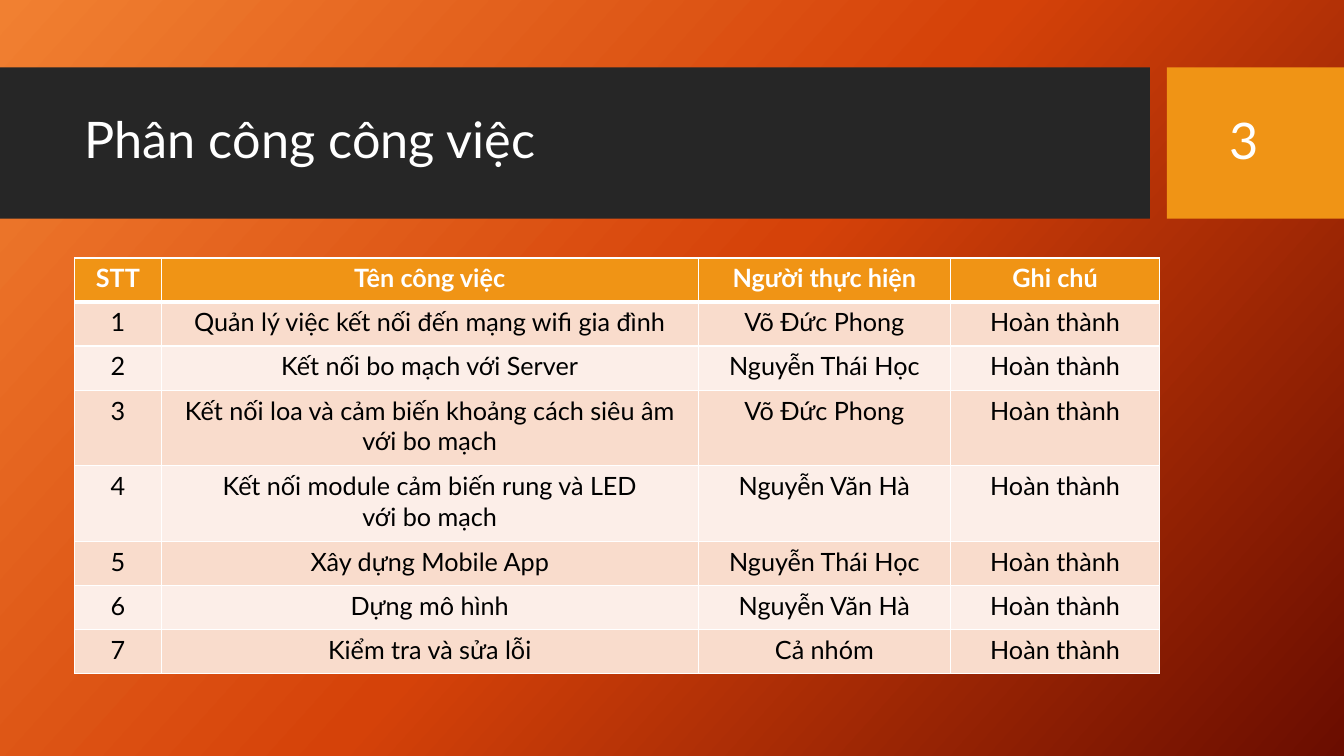
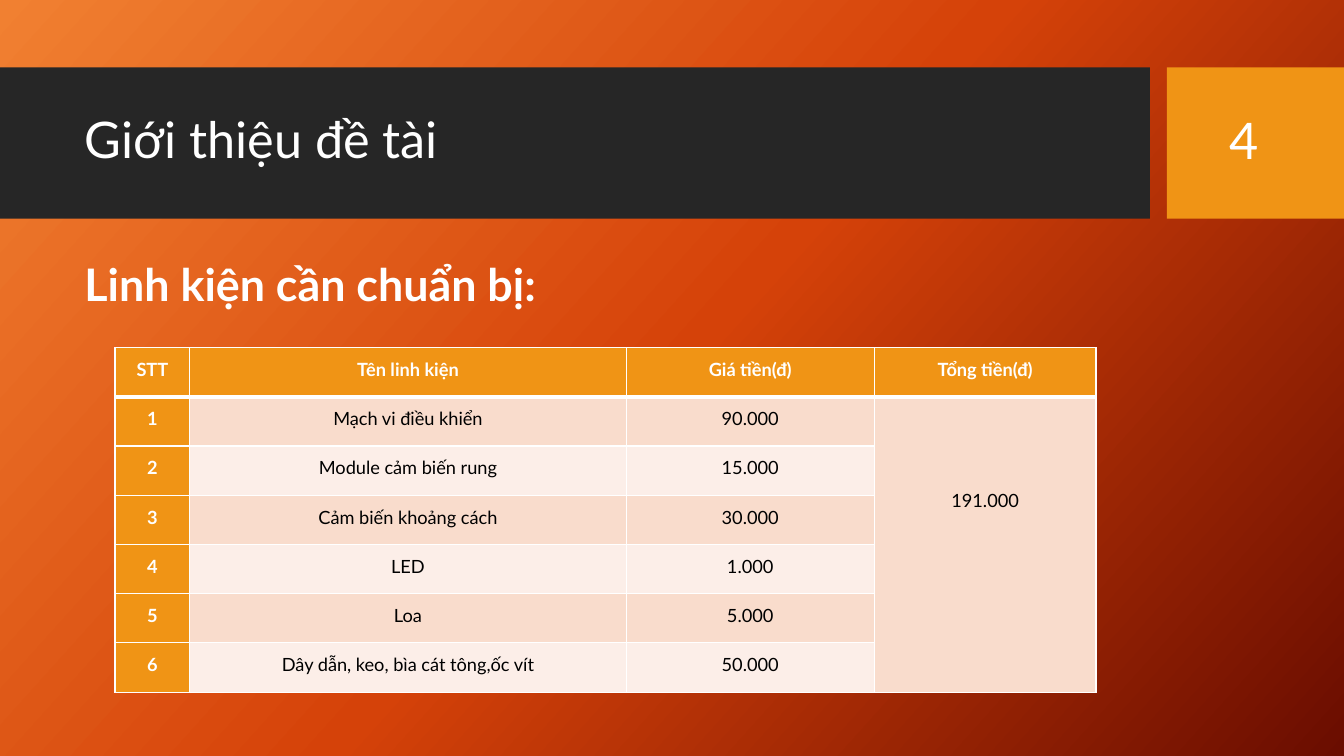
import lxml.etree
import pptx
import pptx.dml.color
import pptx.enum.shapes
import pptx.enum.text
import pptx.oxml
import pptx.oxml.ns
import pptx.util

Cm = pptx.util.Cm
Pt = pptx.util.Pt
qn = pptx.oxml.ns.qn
PP_ALIGN = pptx.enum.text.PP_ALIGN
MSO_ANCHOR = pptx.enum.text.MSO_ANCHOR

COLORS = {
    "white": "FFFFFF", "black": "000000", "band": "262626", "accent": "F09415",
    "row_odd": "F9DCCC", "row_even": "FCEEE8",
}
BACKGROUND_STOPS = [(0, "F18031"), (50, "D54209"), (100, "6A0D00")]
BACKGROUND_ANGLE = 42
FONT = "Lato"

# Boxes are left, top, width, height in centimetres.
BAND_BOX = (0, 1.7, 28.98, 3.81)
NUMBER_BOX = (29.41, 1.7, 4.46, 3.81)
TITLE_BOX = (1.88, 2.08, 26.7, 3)
HEADING_BOX = (1.88, 6.5, 28.47, 1.6)

DONE = "Hoàn thành"
TASKS = [
    ("STT", "Tên công việc", "Người thực hiện", "Ghi chú"),
    ("1", "Quản lý việc kết nối đến mạng wifi gia đình", "Võ Đức Phong", DONE),
    ("2", "Kết nối bo mạch với Server", "Nguyễn Thái Học", DONE),
    ("3", "Kết nối loa và cảm biến khoảng cách siêu âm với bo mạch",
     "Võ Đức Phong", DONE),
    ("4", "Kết nối module cảm biến rung và LED\nvới bo mạch", "Nguyễn Văn Hà", DONE),
    ("5", "Xây dựng Mobile App", "Nguyễn Thái Học", DONE),
    ("6", "Dựng mô hình", "Nguyễn Văn Hà", DONE),
    ("7", "Kiểm tra và sửa lỗi", "Cả nhóm", DONE),
]
PARTS = [
    ("STT", "Tên linh kiện", "Giá tiền(đ)", "Tổng tiền(đ)"),
    ("1", "Mạch vi điều khiển", "90.000", "191.000"),
    ("2", "Module cảm biến rung", "15.000", ""),
    ("3", "Cảm biến khoảng cách", "30.000", ""),
    ("4", "LED", "1.000", ""),
    ("5", "Loa", "5.000", ""),
    ("6", "Dây dẫn, keo, bìa cát tông,ốc vít", "50.000", ""),
]


def rgb(name):
    return pptx.dml.color.RGBColor.from_string(COLORS[name])


def set_all(obj, values):
    for name, value in values.items():
        setattr(obj, name, value)


def write(tf, text, size, color="white", bold=False, **paragraph):
    """Fill a text frame, one paragraph for each line of text."""
    tf.text = text
    for p in tf.paragraphs:
        set_all(p, paragraph)
        for r in p.runs:
            set_all(r.font, {"name": FONT, "size": Pt(size), "bold": bold})
            r.font.color.rgb = rgb(color)


def paint_background(master):
    fill = master.background.fill
    fill.gradient()
    fill.gradient_angle = 360 - BACKGROUND_ANGLE
    stops = master.element.find(".//" + qn("p:bg")).find(".//" + qn("a:gsLst"))
    for old in list(stops):
        stops.remove(old)
    for position, color in BACKGROUND_STOPS:
        stop = lxml.etree.SubElement(stops, qn("a:gs"), pos=str(position * 1000))
        lxml.etree.SubElement(stop, qn("a:srgbClr"), val=color)


def add_block(s, box, color):
    sp = s.shapes.add_shape(pptx.enum.shapes.MSO_SHAPE.RECTANGLE, *map(Cm, box))
    sp.shadow.inherit = False
    sp.fill.solid()
    sp.fill.fore_color.rgb = rgb(color)
    sp.line.fill.background()
    return sp


def add_header(s, title, number):
    add_block(s, BAND_BOX, "band")

    tf = add_block(s, NUMBER_BOX, "accent").text_frame
    set_all(tf, {"vertical_anchor": MSO_ANCHOR.MIDDLE, "margin_right": Cm(0.84)})
    write(tf, str(number), 36, alignment=PP_ALIGN.CENTER, line_spacing=0.9)

    sp = s.shapes.title
    s.shapes.element.append(sp.element)  # in front of the band
    set_all(sp, dict(zip(("left", "top", "width", "height"), map(Cm, TITLE_BOX))))
    sp.text_frame.vertical_anchor = MSO_ANCHOR.MIDDLE
    write(sp.text_frame, title, 36, alignment=PP_ALIGN.LEFT, line_spacing=0.9)


def add_heading(s, box, text):
    tf = s.shapes.add_textbox(*map(Cm, box)).text_frame
    tf.word_wrap = True
    write(tf, text, 32, bold=True, line_spacing=0.9, space_before=Pt(10))


def set_borders(cell, widths):
    """Draw white borders; widths maps L, R, T and B to points."""
    tc_pr = cell._tc.get_or_add_tcPr()
    for i, side in enumerate("LRTB"):
        line = lxml.etree.Element(qn("a:ln" + side), w=str(Pt(widths[side])))
        fill = lxml.etree.SubElement(line, qn("a:solidFill"))
        lxml.etree.SubElement(fill, qn("a:srgbClr"), val=COLORS["white"])
        tc_pr.insert(i, line)


def add_grid(s, left, top, cols, heights, rows, size, accent_first=False,
             margins=None, **paragraph):
    """Add a table with an accent header row and banded body rows."""
    table = s.shapes.add_table(len(rows), len(cols), Cm(left), Cm(top),
                               Cm(sum(cols)), Cm(sum(heights))).table
    set_all(table, {"first_row": False, "horz_banding": False})
    for col, width in zip(table.columns, cols):
        col.width = Cm(width)
    for i, (row, height, texts) in enumerate(zip(table.rows, heights, rows)):
        row.height = Cm(height)
        for j, (cell, text) in enumerate(zip(row.cells, texts)):
            strong = i == 0 or (accent_first and j == 0)
            band = "row_odd" if i % 2 else "row_even"
            cell.fill.solid()
            cell.fill.fore_color.rgb = rgb("accent" if strong else band)
            set_all(cell, margins or {})
            write(cell.text_frame, text, size, "white" if strong else "black", strong,
                  alignment=PP_ALIGN.CENTER, **paragraph)
            set_borders(cell, {"L": 1, "R": 1, "T": 3 if i == 1 else 1,
                               "B": 3 if i == 0 else 1})
    return table


def add_slide(prs, title, number):
    s = prs.slides.add_slide(prs.slide_layouts[5])
    add_header(s, title, number)
    return s


def add_tasks_slide(prs):
    s = add_slide(prs, "Phân công công việc", 3)
    heights = [1.91 if i in (3, 4) else 1.11 for i in range(len(TASKS))]
    add_grid(s, 1.88, 6.5, (2.18, 13.54, 6.35, 5.28), heights, TASKS, 18)


def add_parts_slide(prs):
    s = add_slide(prs, "Giới thiệu đề tài", 4)
    add_heading(s, HEADING_BOX, "Linh kiện cần chuẩn bị:")
    margins = {"margin_left": Cm(0.18), "margin_right": Cm(0.18),
               "margin_top": 0, "margin_bottom": 0}
    table = add_grid(s, 2.9, 8.76, (1.88, 11, 6.25, 5.59), [1.24] * len(PARTS), PARTS,
                     13, accent_first=True, margins=margins,
                     line_spacing=1.5, space_before=Pt(6))
    total = table.cell(1, 3)
    total.merge(table.cell(len(PARTS) - 1, 3))
    total.margin_top = Cm(2.05)


def main():
    prs = pptx.Presentation()
    set_all(prs, {"slide_width": Cm(33.87), "slide_height": Cm(19.05)})
    paint_background(prs.slide_master)
    add_tasks_slide(prs)
    add_parts_slide(prs)
    prs.save("out.pptx")


if __name__ == "__main__":
    main()
